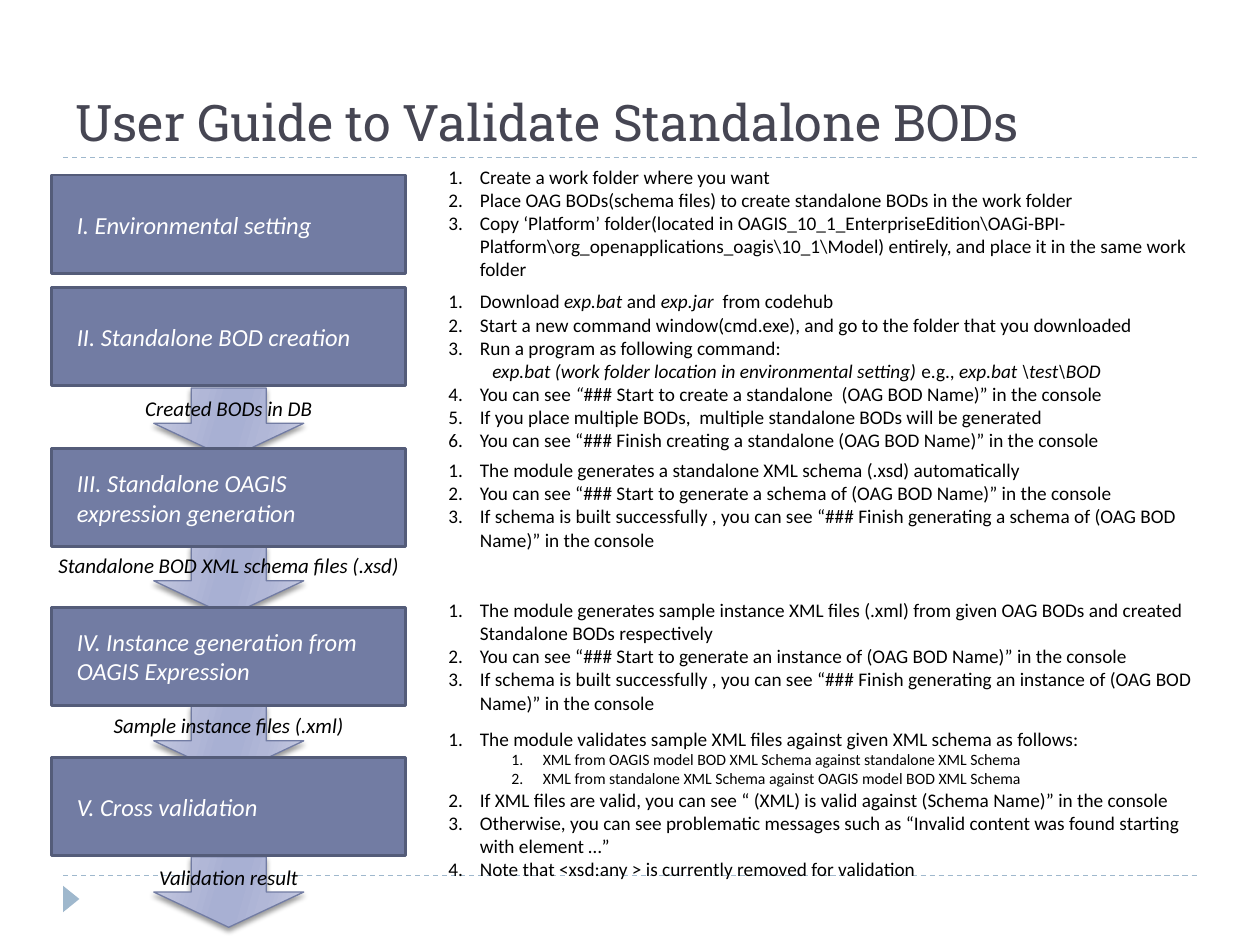
from dataclasses import dataclass

from lxml import etree
from pptx import Presentation
from pptx.dml.color import RGBColor
from pptx.enum.dml import MSO_LINE
from pptx.enum.shapes import MSO_CONNECTOR, MSO_SHAPE
from pptx.enum.text import MSO_ANCHOR, PP_ALIGN
from pptx.oxml import parse_xml
from pptx.oxml.ns import nsdecls, qn
from pptx.util import Emu, Inches, Pt

RECTANGLE, DOWN_ARROW, TRIANGLE = MSO_SHAPE.RECTANGLE, MSO_SHAPE.DOWN_ARROW, MSO_SHAPE.ISOSCELES_TRIANGLE
STRAIGHT, DASH = MSO_CONNECTOR.STRAIGHT, MSO_LINE.DASH
TOP, MIDDLE, BOTTOM = MSO_ANCHOR.TOP, MSO_ANCHOR.MIDDLE, MSO_ANCHOR.BOTTOM
LEFT, CENTER = PP_ALIGN.LEFT, PP_ALIGN.CENTER

BLACK = RGBColor(0x00, 0x00, 0x00)
WHITE = RGBColor(0xFF, 0xFF, 0xFF)
TITLE_COLOR = RGBColor(0x46, 0x46, 0x53)
ACCENT = RGBColor(0x9F, 0xB8, 0xCD)
STAGE_FILL = RGBColor(0x72, 0x7C, 0xA3)
STAGE_LINE = RGBColor(0x54, 0x5C, 0x79)
ARROW_EDGE = RGBColor(0xC9, 0xCD, 0xE2)
ARROW_MID = RGBColor(0xB1, 0xB7, 0xD7)
ARROW_CORE = RGBColor(0xA8, 0xB0, 0xD3)
ARROW_STOPS = ((0, ARROW_EDGE), (30, ARROW_MID), (45, ARROW_CORE),
               (55, ARROW_CORE), (73, ARROW_MID), (100, ARROW_EDGE))

BODY_FONT, TITLE_FONT = "Calibri", "Roboto Slab"

# The slide is a grid of 100 columns by 75 rows of square cells.
COLUMNS, ROWS = 100, 75
CELL = Inches(0.1)
STAGE_COLUMN, STAGE_WIDTH, STAGE_HEIGHT = 4.1, 28.1, 7.8
STAGE_CENTER = STAGE_COLUMN + STAGE_WIDTH / 2
ARROW_WIDTH, ARROW_HEIGHT = 11.9, 5.6
LABEL_WIDTH, LABEL_HEIGHT = 30.1, 3
STEPS_COLUMN, STEPS_WIDTH = 34.6, 61.5


@dataclass(frozen=True)
class Step:
    """One line of instructions; asterisks switch italics on and off."""
    text: str
    level: int = 0
    start: int = 1
    numbered: bool = True


@dataclass(frozen=True)
class Stage:
    name: str
    row: float
    steps_row: float
    steps_height: float
    steps: tuple[Step, ...]
    output: str = ""
    arrow_row: float = 0


STAGES = (
    Stage("I. Environmental setting", 13.9, 12.6, 10.3, (
        Step("Create a work folder where you want"),
        Step("Place OAG BODs(schema files) to create standalone BODs in the work folder"),
        Step("Copy ‘Platform’ folder(located in OAGIS_10_1_EnterpriseEdition\\OAGi-BPI-"
             "Platform\\org_openapplications_oagis\\10_1\\Model) entirely, and place it "
             "in the same work folder"),
    )),
    Stage("II. Standalone BOD creation", 22.8, 22.5, 14, (
        Step("Download *exp.bat* and *exp.jar * from codehub"),
        Step("Start a new command window(cmd.exe), and go to the folder that you downloaded"),
        Step("Run a program as following command:"),
        Step("*exp.bat (work folder location in environmental setting)* e.g., "
             "*exp.bat \\test\\BOD*", numbered=False),
        Step("You can see *“*### Start to create a standalone  (OAG BOD Name)” in the console", start=4),
        Step("If you place multiple BODs,  multiple standalone BODs will be generated", start=4),
        Step("You can see “### Finish creating a standalone (OAG BOD Name)” in the console", start=4),
    ), "Created BODs in DB", 30.8),
    Stage("III. Standalone OAGIS expression generation", 35.6, 35.9, 8.4, (
        Step("The module generates a standalone XML schema (.xsd) automatically"),
        Step("You can see “### Start to generate a schema of (OAG BOD Name)” in the console"),
        Step("If schema is built successfully , you can see “### Finish generating a schema "
             "of (OAG BOD Name)” in the console"),
    ), "Standalone BOD XML schema files (.xsd)", 43.3),
    Stage("IV. Instance generation from OAGIS Expression", 48.2, 47, 10.3, (
        Step("The module generates sample instance XML files (.xml) from given OAG BODs "
             "and created Standalone BODs respectively"),
        Step("You can see “### Start to generate an instance of (OAG BOD Name)” in the console"),
        Step("If schema is built successfully , you can see “### Finish generating an instance "
             "of (OAG BOD Name)” in the console"),
    ), "Sample instance files (.xml)", 56),
    Stage("V. Cross validation", 60.1, 57.2, 13.3, (
        Step("The module validates sample XML files against given XML schema as follows:"),
        Step("XML from OAGIS model BOD XML Schema against standalone XML Schema", level=1),
        Step("XML from standalone XML Schema against OAGIS model BOD XML Schema", level=1),
        Step("If XML files are valid, you can see “ (XML) is valid against (Schema Name)” in the console"),
        Step("Otherwise, you can see problematic messages such as “Invalid content was found "
             "starting with element …”"),
        Step("Note that <xsd:any > is currently removed for validation"),
    ), "Validation result", 68),
)


def grid(*cells: float) -> list[Emu]:
    """Turn counts of grid cells into lengths."""
    return [Emu(round(count * CELL)) for count in cells]


def format_run(run, size: float, color: RGBColor, italic: bool = False, font: str = BODY_FONT) -> None:
    run.font.size, run.font.name, run.font.italic = Pt(size), font, italic
    run.font.color.rgb = color


def write(shape, text: str, size: float, color: RGBColor, alignment=LEFT, anchor=TOP,
          italic: bool = False, font: str = BODY_FONT) -> None:
    frame = shape.text_frame
    frame.text = text
    frame.word_wrap, frame.vertical_anchor = True, anchor
    frame.paragraphs[0].alignment = alignment
    format_run(frame.paragraphs[0].runs[0], size, color, italic, font)


def draw_divider(slide, row: float) -> None:
    line = slide.shapes.add_connector(STRAIGHT, *grid(5, row, COLUMNS - 5, row))
    line.line.color.rgb, line.line.width, line.line.dash_style = ACCENT, Pt(0.75), DASH
    etree.SubElement(line._element.spPr, qn("a:effectLst"))


def draw_corner_mark(slide) -> None:
    mark = slide.shapes.add_shape(TRIANGLE, *grid(4.6, 70.7, 2.1, 1.3))
    mark.rotation = 90
    mark.shadow.inherit = False
    mark.fill.solid()
    mark.fill.fore_color.rgb = ACCENT
    mark.line.fill.background()


def draw_arrow(slide, stage: Stage) -> None:
    arrow = slide.shapes.add_shape(DOWN_ARROW, *grid(
        STAGE_CENTER - ARROW_WIDTH / 2, stage.arrow_row, ARROW_WIDTH, ARROW_HEIGHT))
    arrow.line.color.rgb, arrow.line.width = STAGE_FILL, Pt(0.75)
    stops = "".join(f'<a:gs pos="{share * 1000}"><a:srgbClr val="{color}"/></a:gs>'
                    for share, color in ARROW_STOPS)
    properties = arrow._element.spPr
    properties.find(qn("a:prstGeom")).addnext(parse_xml(
        f'<a:gradFill {nsdecls("a")} rotWithShape="1"><a:gsLst>{stops}</a:gsLst>'
        f'<a:lin ang="{16 * 60000}" scaled="0"/></a:gradFill>'))
    properties.append(parse_xml(
        f'<a:effectLst {nsdecls("a")}><a:outerShdw blurRad="{Pt(3)}" dist="{Pt(2)}" '
        f'dir="{90 * 60000}" rotWithShape="0"><a:srgbClr val="{BLACK}">'
        '<a:alpha val="40000"/></a:srgbClr></a:outerShdw></a:effectLst>'))
    label = slide.shapes.add_textbox(*grid(
        STAGE_CENTER - LABEL_WIDTH / 2, stage.arrow_row + 0.1, LABEL_WIDTH, LABEL_HEIGHT))
    write(label, stage.output, 12, BLACK, CENTER, italic=True)


def draw_stage(slide, stage: Stage) -> None:
    box = slide.shapes.add_shape(RECTANGLE, *grid(STAGE_COLUMN, stage.row, STAGE_WIDTH, STAGE_HEIGHT))
    box.shadow.inherit = False
    box.fill.solid()
    box.fill.fore_color.rgb = STAGE_FILL
    box.line.color.rgb, box.line.width = STAGE_LINE, Pt(1.5)
    box.text_frame.margin_left = Inches(0.2)
    write(box, stage.name, 14, WHITE, anchor=MIDDLE, italic=True)


def draw_steps(slide, stage: Stage) -> None:
    box = slide.shapes.add_textbox(*grid(STEPS_COLUMN, stage.steps_row, STEPS_WIDTH, stage.steps_height))
    frame = box.text_frame
    frame.word_wrap = True
    for index, step in enumerate(stage.steps):
        paragraph = frame.add_paragraph() if index else frame.paragraphs[0]
        paragraph.level = step.level
        properties = paragraph._p.get_or_add_pPr()
        if step.numbered:
            properties.set("marL", str(Inches(0.25 + 0.5 * step.level)))
            properties.set("indent", str(Inches(-0.25)))
            numbering = etree.SubElement(properties, qn("a:buAutoNum"), type="arabicPeriod")
            if step.start > 1:
                numbering.set("startAt", str(step.start))
        else:
            properties.set("marL", str(Inches(0.35)))
            properties.set("indent", "0")
            etree.SubElement(properties, qn("a:buNone"))
        for position, piece in enumerate(step.text.split("*")):
            if piece:
                run = paragraph.add_run()
                run.text = piece
                format_run(run, 9 if step.level else 11, BLACK, italic=position % 2 == 1)


def main() -> None:
    presentation = Presentation()
    presentation.slide_width, presentation.slide_height = grid(COLUMNS, ROWS)
    slide = presentation.slides.add_slide(presentation.slide_layouts[6])
    for row in (69.5, 12.5):
        draw_divider(slide, row)
    draw_corner_mark(slide)
    title = slide.shapes.add_textbox(*grid(5, 2.5, 90, 10))
    write(title, "User Guide to Validate Standalone BODs", 28.8, TITLE_COLOR,
          anchor=BOTTOM, font=TITLE_FONT)
    for stage in STAGES:
        if stage.output:
            draw_arrow(slide, stage)
    for stage in STAGES:
        draw_stage(slide, stage)
        draw_steps(slide, stage)
    presentation.save("out.pptx")


if __name__ == "__main__":
    main()
